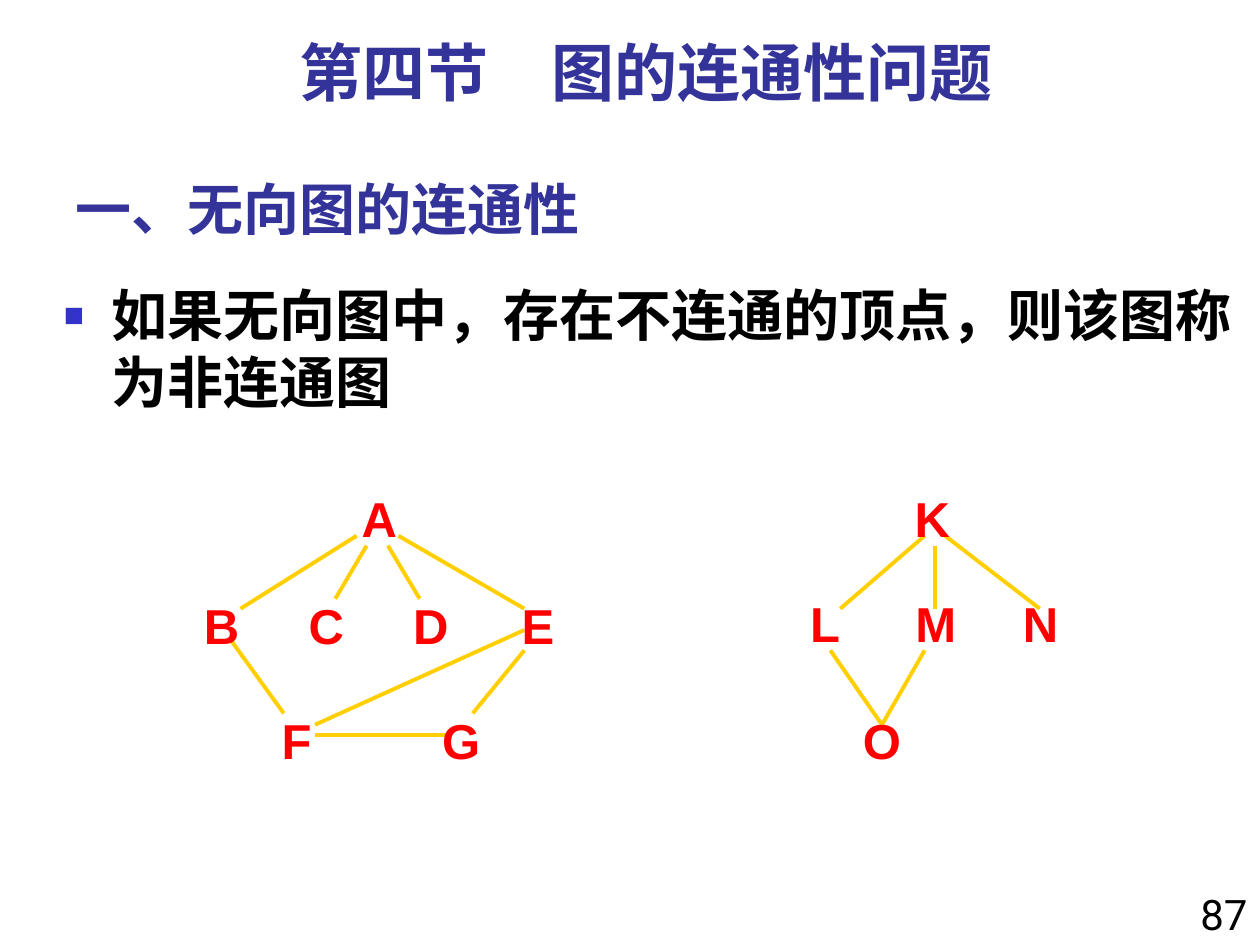
from lxml import etree
from pptx import Presentation
from pptx import util as u
from pptx.dml.color import RGBColor
from pptx.enum import shapes, text
from pptx.oxml.ns import qn

THEME = {
    "heading": "333399", "body": "000000", "bullet": "3333CC",
    "vertex": "FF0000", "edge": "FFCF01",
    "title_size": 36, "text_size": 32, "vertex_size": 28, "number_size": 24,
    "cjk": "Noto Sans CJK SC", "latin": "Arial", "plain": "Roboto",
    "edge_width": 2.25, "line_spacing": 38.3,
}

SECTION = "第四节　图的连通性问题"
HEADING = "一、无向图的连通性"
STATEMENT = "如果无向图中，存在不连通的顶点，则该图称为非连通图"
PAGE_NUMBER = "87"

VERTEX_ROWS = [
    (9.73, {"A": 7.65, "K": 18.8}),
    (11.89, {"B": 4.47, "C": 6.58, "D": 8.69, "E": 10.85}),
    (11.84, {"L": 16.64, "M": 18.88, "N": 20.98}),
    (14.2, {"F": 5.99, "G": 9.3, "O": 17.78}),
]
VERTEX_WIDTHS = {"E": 1.17, "F": 1.12, "L": 1.12, "G": 1.27, "O": 1.27, "M": 1.35}
VERTEX_WIDTH, VERTEX_HEIGHT = 1.22, 1.45

EDGES = {
    "AB": (7.19, 10.8, 4.85, 12.27),
    "AC": (7.39, 11, 6.76, 12.07),
    "AD": (7.82, 11, 8.46, 12.07),
    "AE": (8.03, 10.8, 10.57, 12.27),
    "BF": (4.65, 12.9, 5.72, 14.38),
    "EF": (10.57, 12.7, 6.35, 14.61),
    "EG": (10.57, 13.11, 9.53, 14.38),
    "FG": (6.35, 14.81, 9.09, 14.81),
    "KL": (18.64, 10.8, 16.94, 12.27),
    "KM": (18.85, 11, 18.85, 12.27),
    "KN": (19.05, 10.8, 20.96, 12.27),
    "LO": (16.74, 13.11, 17.78, 14.61),
    "MO": (18.64, 13.11, 17.78, 14.61),
}


def add_label(page, words, place, size, color, font, bold=True,
              align=text.PP_ALIGN.LEFT, anchor=text.MSO_ANCHOR.TOP, wrap=True):
    box = page.shapes.add_textbox(*(u.Cm(value) for value in place))
    frame = box.text_frame
    frame.text = words
    frame.word_wrap = wrap
    frame.vertical_anchor = anchor
    para = frame.paragraphs[0]
    para.alignment = align
    span = para.runs[0]
    span.font.size = u.Pt(size)
    span.font.bold = bold
    span.font.name = font
    span.font.color.rgb = RGBColor.from_string(color)
    east_asian = etree.SubElement(span.font._element, qn("a:ea"))
    east_asian.set("typeface", THEME["cjk"])
    return para


def add_bullet(para):
    properties = para._p.get_or_add_pPr()
    properties.set("marL", str(u.Cm(0.95)))
    properties.set("indent", str(-u.Cm(0.95)))
    color = etree.SubElement(properties, qn("a:buClr"))
    etree.SubElement(color, qn("a:srgbClr")).set("val", THEME["bullet"])
    etree.SubElement(properties, qn("a:buSzPct")).set("val", "60000")
    etree.SubElement(properties, qn("a:buFont")).set("typeface", THEME["latin"])
    etree.SubElement(properties, qn("a:buChar")).set("char", "■")


def add_edge(page, ends):
    line = page.shapes.add_connector(
        shapes.MSO_CONNECTOR.STRAIGHT, *(u.Cm(value) for value in ends))
    line.line.color.rgb = RGBColor.from_string(THEME["edge"])
    line.line.width = u.Pt(THEME["edge_width"])
    etree.SubElement(line._element.spPr, qn("a:effectLst"))


def main():
    deck = Presentation()
    deck.slide_width, deck.slide_height = u.Cm(25.4), u.Cm(19.05)
    page = deck.slides.add_slide(deck.slide_layouts[6])

    add_label(page, HEADING, (1.27, 3.1, 20.96, 1.9), THEME["text_size"],
              THEME["heading"], THEME["cjk"], anchor=text.MSO_ANCHOR.BOTTOM)
    add_label(page, PAGE_NUMBER, (23.7, 17.78, 1.7, 1.27), THEME["number_size"],
              THEME["body"], THEME["plain"], bold=False, align=text.PP_ALIGN.RIGHT)
    add_label(page, SECTION, (1.27, 0.56, 23.5, 1.78), THEME["title_size"],
              THEME["heading"], THEME["plain"], align=text.PP_ALIGN.CENTER)
    statement = add_label(page, STATEMENT, (1.04, 5.54, 24.33, 11.23),
                          THEME["text_size"], THEME["body"], THEME["cjk"])
    statement.line_spacing = u.Pt(THEME["line_spacing"])
    add_bullet(statement)

    for ends in EDGES.values():
        add_edge(page, ends)
    for top, row in VERTEX_ROWS:
        for name, center in row.items():
            width = VERTEX_WIDTHS.get(name, VERTEX_WIDTH)
            add_label(page, name, (center - width / 2, top, width, VERTEX_HEIGHT),
                      THEME["vertex_size"], THEME["vertex"], THEME["latin"], wrap=False)

    deck.save("out.pptx")


if __name__ == "__main__":
    main()
